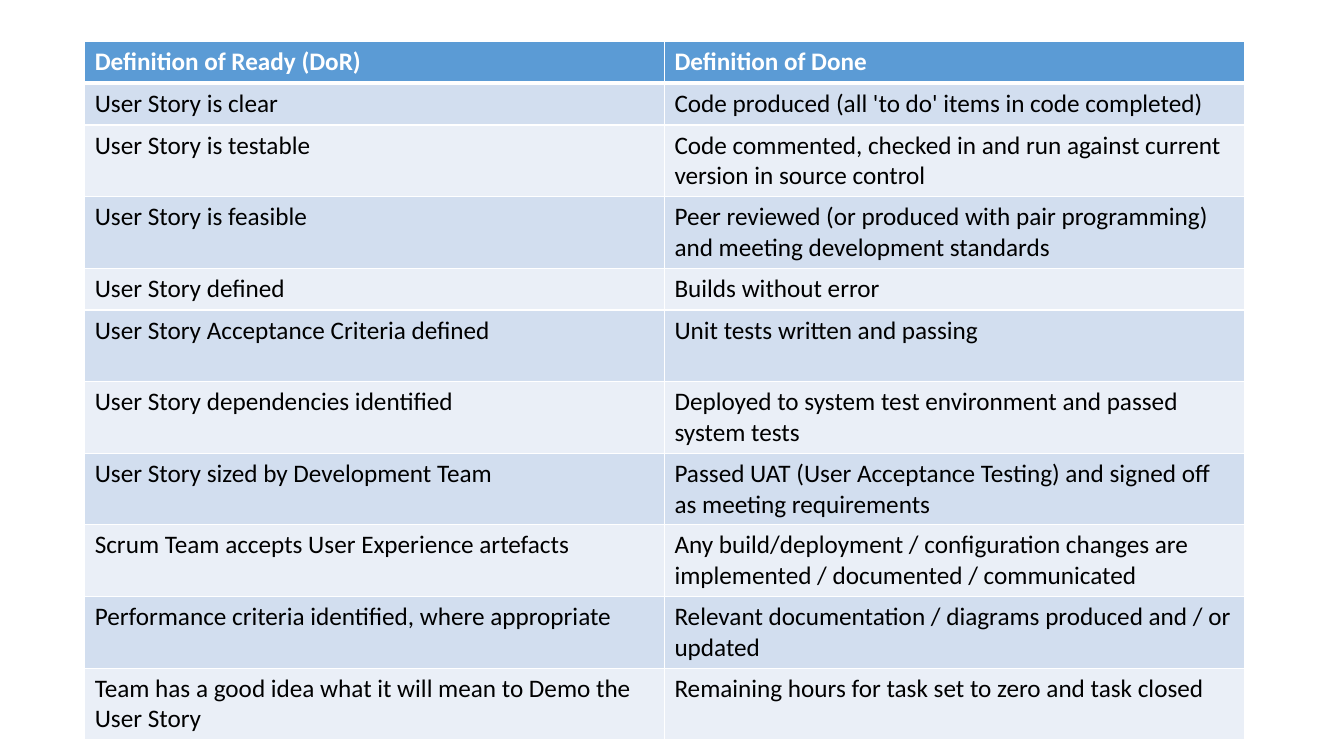
from lxml.etree import SubElement
from pptx import Presentation
from pptx.dml.color import RGBColor
from pptx.oxml.ns import qn
from pptx.util import Inches, Pt

WHITE = RGBColor(0xFF, 0xFF, 0xFF)
BLACK = RGBColor(0x00, 0x00, 0x00)
HEADER_BLUE = RGBColor(0x5B, 0x9B, 0xD5)
BAND_DARK = RGBColor(0xD2, 0xDE, 0xEF)
BAND_LIGHT = RGBColor(0xEA, 0xEF, 0xF7)

ONE_LINE = 0.415
TWO_LINES = 0.71

definitions = [
    ("Definition of Ready (DoR)", "Definition of Done", ONE_LINE),
    ("User Story is clear",
     "Code produced (all 'to do' items in code completed)", ONE_LINE),
    ("User Story is testable",
     "Code commented, checked in and run against current version in source control", TWO_LINES),
    ("User Story is feasible",
     "Peer reviewed (or produced with pair programming) and meeting development standards", TWO_LINES),
    ("User Story defined", "Builds without error", ONE_LINE),
    ("User Story Acceptance Criteria defined", "Unit tests written and passing", TWO_LINES),
    ("User Story dependencies identified",
     "Deployed to system test environment and passed system tests", TWO_LINES),
    ("User Story sized by Development Team",
     "Passed UAT (User Acceptance Testing) and signed off as meeting requirements", TWO_LINES),
    ("Scrum Team accepts User Experience artefacts",
     "Any build/deployment / configuration changes are implemented / documented / communicated", TWO_LINES),
    ("Performance criteria identified, where appropriate",
     "Relevant documentation / diagrams produced and / or updated", TWO_LINES),
    ("Team has a good idea what it will mean to Demo the User Story",
     "Remaining hours for task set to zero and task closed", TWO_LINES),
]


def add_border(cell, side, points):
    line = SubElement(cell._tc.get_or_add_tcPr(), qn(f"a:ln{side}"), w=str(Pt(points)))
    fill = SubElement(line, qn("a:solidFill"))
    SubElement(fill, qn("a:srgbClr"), val=str(WHITE))


deck = Presentation()
deck.slide_width = Inches(13.33)
deck.slide_height = Inches(7.5)
page = deck.slides.add_slide(deck.slide_layouts[6])

table_height = sum(height for _, _, height in definitions)
table = page.shapes.add_table(
    len(definitions), 2, Inches(0.84), Inches(0.41), Inches(11.5), Inches(table_height)
).table

for row_index, (ready, done, height) in enumerate(definitions):
    table.rows[row_index].height = Inches(height)
    is_header = row_index == 0
    band = BAND_DARK if row_index % 2 else BAND_LIGHT
    for column_index, text in enumerate((ready, done)):
        cell = table.cell(row_index, column_index)
        for side in "LRTB":
            thick = (is_header and side == "B") or (row_index == 1 and side == "T")
            add_border(cell, side, 3 if thick else 1)
        cell.fill.solid()
        cell.fill.fore_color.rgb = HEADER_BLUE if is_header else band
        cell.text = text
        font = cell.text_frame.paragraphs[0].font
        font.name = "Calibri"
        font.size = Pt(18)
        font.bold = is_header
        font.color.rgb = WHITE if is_header else BLACK

deck.save("out.pptx")
